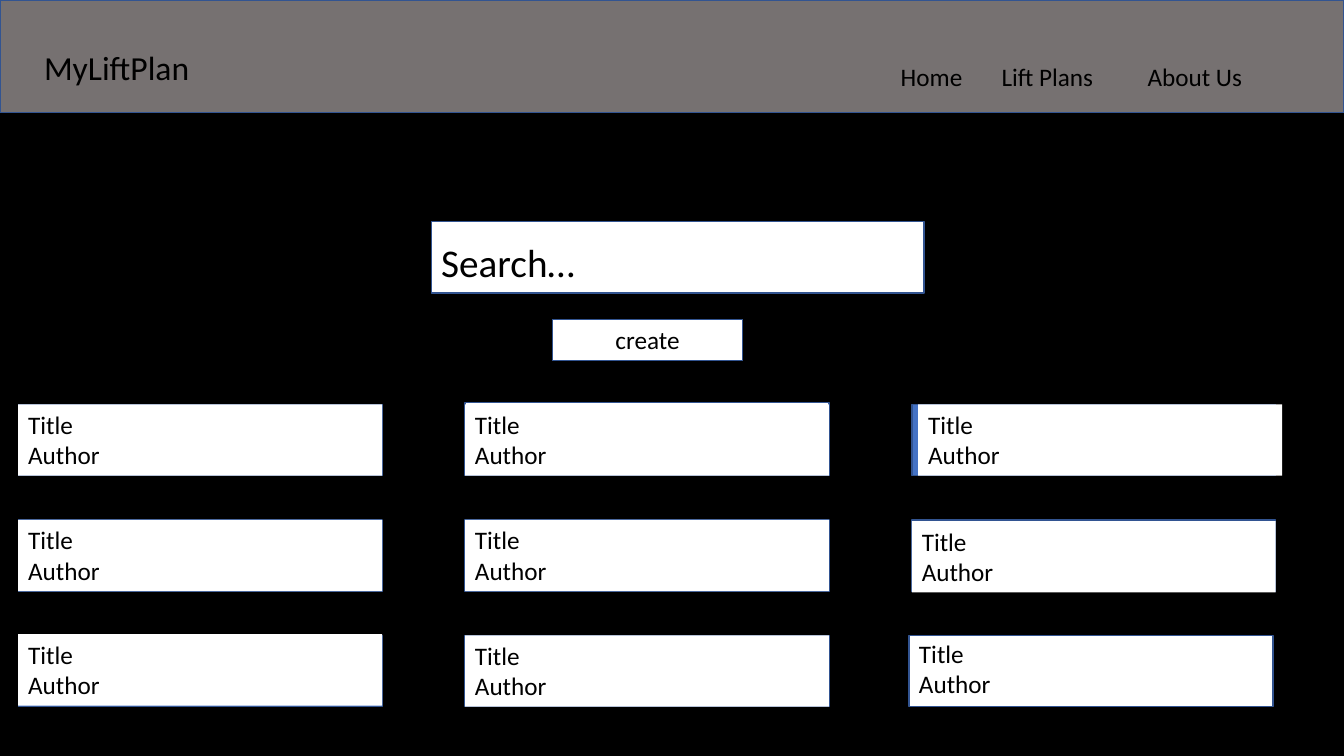
from pptx import Presentation
from pptx.dml.color import RGBColor
from pptx.enum.shapes import MSO_SHAPE
from pptx.enum.text import MSO_ANCHOR, PP_ALIGN
from pptx.oxml import parse_xml
from pptx.oxml.ns import nsdecls
from pptx.util import Cm, Pt

RECT = MSO_SHAPE.RECTANGLE
TOP = MSO_ANCHOR.TOP
LEFT, CENTER = PP_ALIGN.LEFT, PP_ALIGN.CENTER

THEME = {
    "font": "Calibri", "back": "000000", "bar": "767171", "box": "FFFFFF",
    "accent": "4472C4", "line": "325491", "ink": "000000",
    "body": 18, "brand": 24, "search": 28,
}

BRAND = "MyLiftPlan"
MENU = ["Home", "Lift Plans", "About Us"]
STOPS = [2.54, 6.22]
HINT = "Search…"
BUTTON = "create"
CARD = ["Title", "Author"]

CARD_W, CARD_H = 9.17, 1.8
GRID_X, GRID_Y = 0.46, 10.19
STEP_X, STEP_Y = 11.26, 2.91
ROWS, COLS = 3, 3
FRAME_SHIFT = {(0, 1): (0, -0.05), (2, 2): (-0.07, 0)}
LABEL_SHIFT = {(0, 2): (0.16, 0), (1, 2): (0, 0.03),
               (2, 0): (0, -0.03), (2, 2): (-0.07, -0.06)}
WHITE_FRAMES = {(0, 1), (1, 1), (2, 1), (2, 2)}


def color(name):
    return RGBColor.from_string(THEME[name])


def add_box(slide, x, y, w, h, fill, line=True):
    box = slide.shapes.add_shape(RECT, Cm(x), Cm(y), Cm(w), Cm(h))
    box.shadow.inherit = False
    box.fill.solid()
    box.fill.fore_color.rgb = color(fill)
    if line:
        box.line.color.rgb = color("line")
        box.line.width = Pt(1)
    else:
        box.line.fill.background()
    return box


def add_tabs(para, stops):
    tabs = "".join(f'<a:tab pos="{Cm(stop)}" algn="l"/>' for stop in stops)
    props = para._p.get_or_add_pPr()
    props.append(parse_xml(f'<a:tabLst {nsdecls("a")}>{tabs}</a:tabLst>'))


def write(shape, lines, size="body", align=LEFT, stops=()):
    frame = shape.text_frame
    frame.word_wrap = True
    frame.vertical_anchor = TOP
    for i, line in enumerate(lines):
        para = frame.add_paragraph() if i else frame.paragraphs[0]
        para.alignment = align
        if stops:
            add_tabs(para, stops)
        run = para.add_run()
        run.text = line
        run.font.name = THEME["font"]
        run.font.size = Pt(THEME[size])
        run.font.color.rgb = color("ink")


def add_text(slide, x, y, w, h, lines, *style):
    box = slide.shapes.add_textbox(Cm(x), Cm(y), Cm(w), Cm(h))
    write(box, lines, *style)


def add_card(slide, row, col):
    spot = (row, col)
    x, y = GRID_X + col * STEP_X, GRID_Y + row * STEP_Y
    dx, dy = FRAME_SHIFT.get(spot, (0, 0))
    fill = "box" if spot in WHITE_FRAMES else "accent"
    add_box(slide, x + dx, y + dy, CARD_W, CARD_H - dy, fill)
    dx, dy = LABEL_SHIFT.get(spot, (0, 0))
    if spot == (ROWS - 1, COLS - 1):
        add_text(slide, x + dx, y + dy, CARD_W, CARD_H, CARD)
    else:
        label = add_box(slide, x + dx, y + dy, CARD_W, CARD_H, "box", False)
        write(label, CARD)


def main():
    deck = Presentation()
    deck.slide_width, deck.slide_height = Cm(33.87), Cm(19.05)
    slide = deck.slides.add_slide(deck.slide_layouts[6])
    slide.background.fill.solid()
    slide.background.fill.fore_color.rgb = color("back")

    add_box(slide, 0, 0, 33.87, 2.84, "bar")
    add_text(slide, 0.86, 1.07, 8.53, 1.27, [BRAND], "brand")
    add_text(slide, 22.45, 1.42, 10.52, 1.02, ["\t".join(MENU)],
             "body", LEFT, STOPS)

    add_box(slide, 10.87, 5.59, 12.42, 1.8, "box")
    add_text(slide, 10.87, 5.89, 12.04, 1.45, [HINT], "search")
    button = add_box(slide, 13.92, 8.05, 4.8, 1.04, "box")
    write(button, [BUTTON], "body", CENTER)

    for row in range(ROWS):
        for col in range(COLS):
            add_card(slide, row, col)

    deck.save("out.pptx")


if __name__ == "__main__":
    main()
